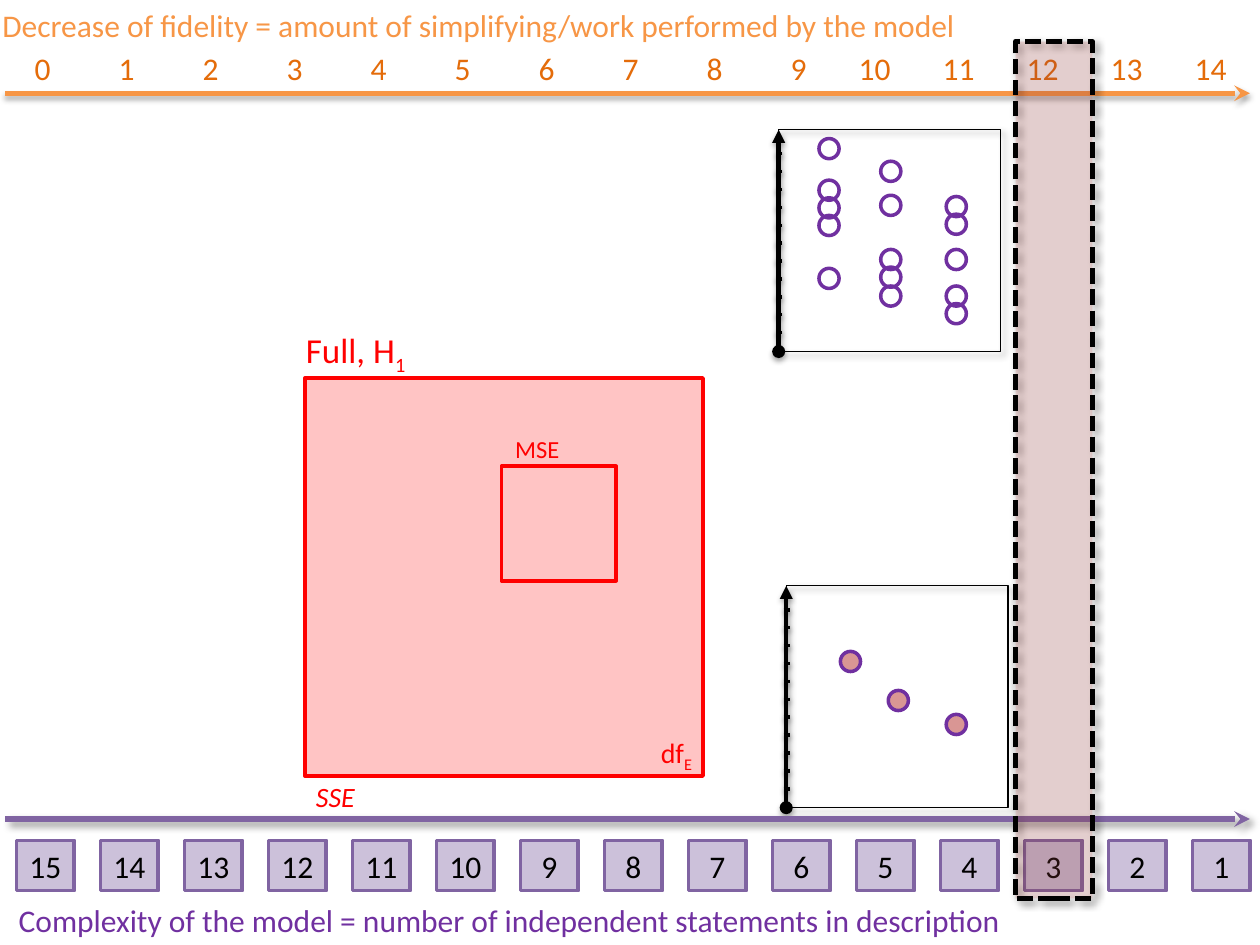
from lxml import etree
from pptx import Presentation
from pptx import util as u
from pptx.dml.color import RGBColor
from pptx.enum import dml, shapes, text
from pptx.oxml import ns

COLORS = {
    "black": "000000", "red": "FF0000", "rose": "D99694", "brick": "C0504D",
    "purple": "7030A0", "violet": "8064A2", "lilac": "CCC1DA",
    "orange": "F79646", "rust": "E46C0A",
}
AXIS_SHADOW = (35, 3.1, 1.8, 90)
TICK_SHADOW = (38, 3.1, 1.6, 90)
SOFT_SHADOW = (40, 4, 3, 45)
LEFT, CENTER, RIGHT = text.PP_ALIGN.LEFT, text.PP_ALIGN.CENTER, text.PP_ALIGN.RIGHT
TOP, MIDDLE, BOTTOM = text.MSO_ANCHOR.TOP, text.MSO_ANCHOR.MIDDLE, text.MSO_ANCHOR.BOTTOM
RECT, OVAL = shapes.MSO_SHAPE.RECTANGLE, shapes.MSO_SHAPE.OVAL


def sub(parent, tag, **attrs):
    el = etree.SubElement(parent, ns.qn(tag))
    for key, value in attrs.items():
        el.set(key, str(value))
    return el


class Board:
    font = "Calibri"

    def __init__(self, slide):
        self.s = slide
        self.target = slide.shapes

    def group(self):
        self.target = self.s.shapes.add_group_shape().shapes

    def ungroup(self):
        self.target = self.s.shapes

    def color(self, name):
        return RGBColor.from_string(COLORS[name])

    def shadow(self, sp, style):
        props = sp._element.spPr
        effects = props.find(ns.qn("a:effectLst"))
        if effects is None:
            effects = sub(props, "a:effectLst")
        alpha, blur, dist, angle = style
        outer = sub(effects, "a:outerShdw", blurRad=int(u.Pt(blur)), dist=int(u.Pt(dist)),
                    dir=angle * 60000, algn="ctr", rotWithShape=0)
        clr = sub(outer, "a:srgbClr", val=COLORS["black"])
        sub(clr, "a:alpha", val=alpha * 1000)

    def line(self, x1, y1, x2, y2, color, width, shadow, head=None, tail=None):
        sp = self.target.add_connector(shapes.MSO_CONNECTOR.STRAIGHT,
                                       *(u.Inches(v) for v in (x1, y1, x2, y2)))
        sp.line.color.rgb = self.color(color)
        sp.line.width = u.Pt(width)
        ln = sp._element.spPr.find(ns.qn("a:ln"))
        for tag, kind in (("a:headEnd", head), ("a:tailEnd", tail)):
            if kind:
                sub(ln, tag, type=kind)
        self.shadow(sp, shadow)

    def shape(self, kind, x, y, w, h, line, width, fill=None, alpha=None,
              shadow=None, dash=None):
        sp = self.target.add_shape(kind, *(u.Inches(v) for v in (x, y, w, h)))
        if fill:
            sp.fill.solid()
            sp.fill.fore_color.rgb = self.color(fill)
        else:
            sp.fill.background()
        if alpha:
            clr = sp._element.spPr.find(ns.qn("a:solidFill"))[0]
            sub(clr, "a:alpha", val=alpha * 1000)
        sp.line.color.rgb = self.color(line)
        sp.line.width = u.Pt(width)
        if dash:
            sp.line.dash_style = dash
        sp.shadow.inherit = False
        if shadow:
            self.shadow(sp, shadow)
        return sp

    def put_text(self, sp, words, size, color, align=LEFT, anchor=TOP, low=None, italic=None):
        tf = sp.text_frame
        tf.word_wrap = True
        tf.vertical_anchor = anchor
        p = tf.paragraphs[0]
        p.alignment = align
        p.font.name = self.font
        p.font.size = u.Pt(size)
        p.font.color.rgb = self.color(color)
        p.font.italic = italic
        p.add_run().text = words
        if low:
            r = p.add_run()
            r.text = low
            r._r.get_or_add_rPr().set("baseline", "-25000")

    def label(self, x, y, w, h, words, size, color, **style):
        sp = self.target.add_textbox(*(u.Inches(v) for v in (x, y, w, h)))
        self.put_text(sp, words, size, color, **style)

    def plot(self, x, y, dots, fill=None):
        side, dot = 1.76, 0.16
        self.group()
        self.line(x, y + side, x, y, "black", 2.5, AXIS_SHADOW, "oval", "triangle")
        for i in range(11):
            tick = y + 0.19 + 1.42 * i / 10
            self.line(x - 0.02, tick, x + 0.03, tick, "black", 2, TICK_SHADOW)
        for left, top in dots:
            self.shape(OVAL, left, top, dot, dot, "purple", 2, fill)
        self.shape(RECT, x, y, side, side, "black", 0.75, shadow=SOFT_SHADOW)
        self.ungroup()

    def scales(self):
        steps, pitch = 15, 2 / 3
        self.group()
        for i in range(steps):
            box = self.shape(RECT, 0.13 + pitch * i, 6.67, 0.46, 0.4, "violet", 2, "lilac")
            self.put_text(box, str(steps - i), 18, "black", align=CENTER)
            self.label(0.04 + pitch * i, 0.34, 0.46, 0.4, str(i), 18, "rust", align=RIGHT)
        self.label(-0.08, 0, 8.25, 0.4,
                   "Decrease of fidelity = amount of simplifying/work performed by the model",
                   18, "orange")
        self.line(0.04, 0.74, 9.92, 0.74, "orange", 3, AXIS_SHADOW, tail="stealth")
        self.line(0.04, 6.5, 9.92, 6.5, "violet", 3, SOFT_SHADOW, tail="stealth")
        self.label(0.05, 7.1, 8.25, 0.4,
                   "Complexity of the model = number of independent statements in description",
                   18, "purple")
        self.ungroup()


def main():
    prs = Presentation()
    prs.slide_width, prs.slide_height = u.Inches(10), u.Inches(7.5)
    board = Board(prs.slides.add_slide(prs.slide_layouts[6]))

    observed = {
        6.5: (2.13, 1.57, 1.43, 1.71, 1.1),
        6.99: (2.27, 2.12, 1.55, 1.28, 1.98),
        7.51: (1.98, 1.56, 2.27, 1.7, 2.41),
    }
    means = [(7.05, 5.48), (6.67, 5.17), (7.51, 5.67)]

    board.plot(6.18, 1.03, [(x, y) for x, ys in observed.items() for y in ys])
    board.shape(RECT, 2.42, 3, 3.16, 3.16, "red", 2, "red", alpha=23)
    board.plot(6.24, 4.65, means, "rose")
    board.label(4.92, 5.83, 0.67, 0.32, "df", 16, "red", align=RIGHT, anchor=MIDDLE, low="E")
    board.label(2.33, 2.64, 1.46, 0.32, "Full, H", 20, "red", anchor=MIDDLE, low="1")
    board.label(2.41, 6.14, 0.63, 0.32, "SSE", 16, "red", italic=True)
    board.label(3.99, 3.36, 0.69, 0.37, "MSE", 14, "red", anchor=BOTTOM)
    board.shape(RECT, 3.98, 3.7, 0.91, 0.91, "red", 2)
    board.scales()
    board.shape(RECT, 8.06, 0.33, 0.61, 6.8, "black", 3, "brick", alpha=19,
                shadow=SOFT_SHADOW, dash=dml.MSO_LINE.SQUARE_DOT)

    prs.save("out.pptx")


if __name__ == "__main__":
    main()
